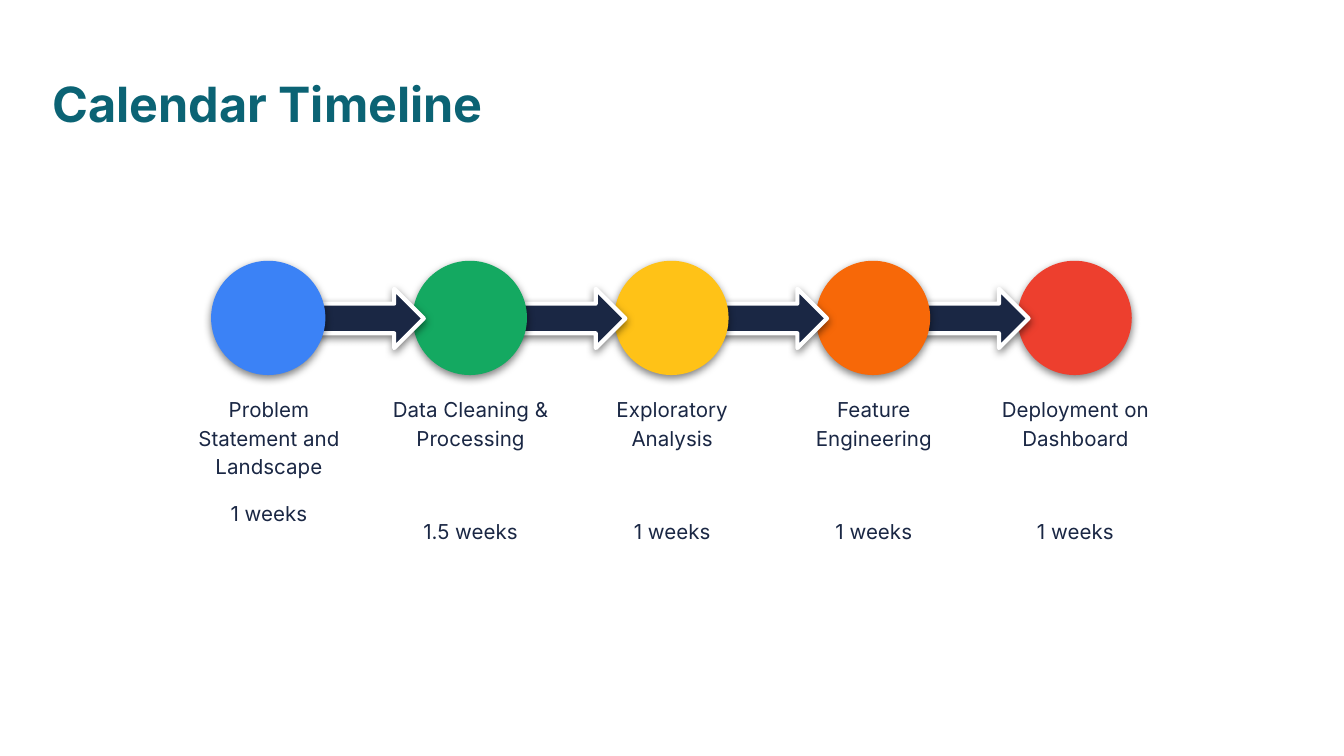
from lxml import etree
from pptx import Presentation
from pptx import util as u
from pptx.dml.color import RGBColor
from pptx.enum import shapes, text
from pptx.oxml import ns

NAVY = "1A2744"
PITCH = 3.81


def rgb(value):
    return RGBColor.from_string(value)


def add_step_shape(kind, left, top, width, height, color):
    step = slide.shapes.add_shape(kind, u.Cm(left), u.Cm(top), u.Cm(width), u.Cm(height))
    step.fill.solid()
    step.fill.fore_color.rgb = rgb(color)
    step.line.fill.background()
    step.shadow.inherit = False
    effects = step.element.spPr.find(ns.qn("a:effectLst"))
    shadow = etree.SubElement(effects, ns.qn("a:outerShdw"), blurRad=str(u.Pt(4.5)),
                              dist=str(u.Pt(1.5)), dir="5400000", algn="bl", rotWithShape="0")
    shade = etree.SubElement(shadow, ns.qn("a:srgbClr"), val="000000")
    etree.SubElement(shade, ns.qn("a:alpha"), val="50000")
    return step


prs = Presentation()
prs.slide_width, prs.slide_height = u.Cm(25.4), u.Cm(14.29)
slide = prs.slides.add_slide(prs.slide_layouts[5])

heading = slide.shapes.title
heading.left, heading.top, heading.width, heading.height = u.Cm(0.99), u.Cm(1.4), u.Cm(23.39), u.Cm(0.99)
heading_frame = heading.text_frame
heading_frame.margin_left = heading_frame.margin_right = 0
heading_frame.margin_top = heading_frame.margin_bottom = 0
heading_frame.vertical_anchor = text.MSO_ANCHOR.TOP
heading_frame.auto_size = text.MSO_AUTO_SIZE.NONE
heading_line = heading_frame.paragraphs[0]
heading_line.alignment = text.PP_ALIGN.LEFT
heading_run = heading_line.add_run()
heading_run.text = "Calendar Timeline"
heading_run.font.name = "Inter"
heading_run.font.size = u.Pt(26)
heading_run.font.bold = True
heading_run.font.color.rgb = rgb("0B6374")

phases = [
    ("Problem Statement and Landscape", "1 weeks", "3B82F6", 10, 5.66),
    ("Data Cleaning &\nProcessing", "1.5 weeks", "14A961", 35, 5.1),
    ("Exploratory Analysis", "1 weeks", "FFC217", 35, 5.1),
    ("Feature Engineering", "1 weeks", "F76808", 35, 5.1),
    ("Deployment on Dashboard", "1 weeks", "ED3F2E", 35, 5.1),
]

for index, (phase, duration, color, gap, height) in enumerate(phases):
    label = slide.shapes.add_textbox(u.Cm(3.18 + index * PITCH), u.Cm(7.19), u.Cm(PITCH), u.Cm(height))
    label_frame = label.text_frame
    label_frame.word_wrap = True
    label_frame.margin_left = label_frame.margin_right = u.Cm(0.25)
    label_frame.margin_top = label_frame.margin_bottom = u.Cm(0.25)
    phase_line = label_frame.paragraphs[0]
    duration_line = label_frame.add_paragraph()
    duration_line.space_before = u.Pt(gap)
    for line, wording in ((phase_line, phase), (duration_line, duration)):
        line.alignment = text.PP_ALIGN.CENTER
        line.line_spacing = 1.15
        for part_number, part in enumerate(wording.split("\n")):
            if part_number:
                line.add_line_break()
            run = line.add_run()
            run.text = part
            run.font.name = "Inter"
            run.font.size = u.Pt(11)
            run.font.color.rgb = rgb(NAVY)

for index in reversed(range(len(phases))):
    offset = index * PITCH
    if index < len(phases) - 1:
        arrow = add_step_shape(shapes.MSO_SHAPE.RIGHT_ARROW, 5.8 + offset, 5.46, 2.21, 1.12, NAVY)
        arrow.line.color.rgb = rgb("FFFFFF")
        arrow.line.width = u.Pt(2.25)
    add_step_shape(shapes.MSO_SHAPE.OVAL, 3.99 + offset, 4.93, 2.16, 2.16, phases[index][2])

prs.save("out.pptx")
